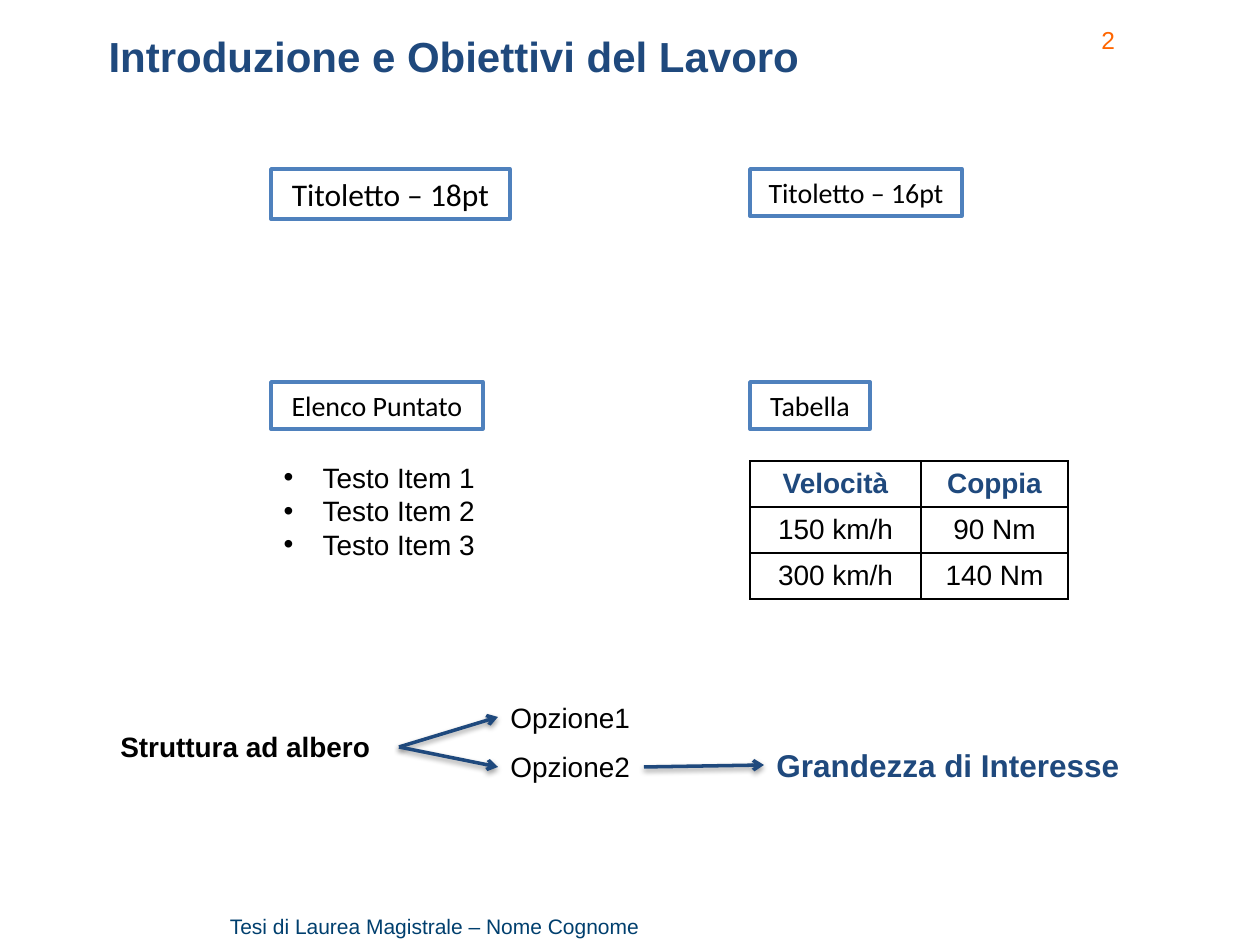
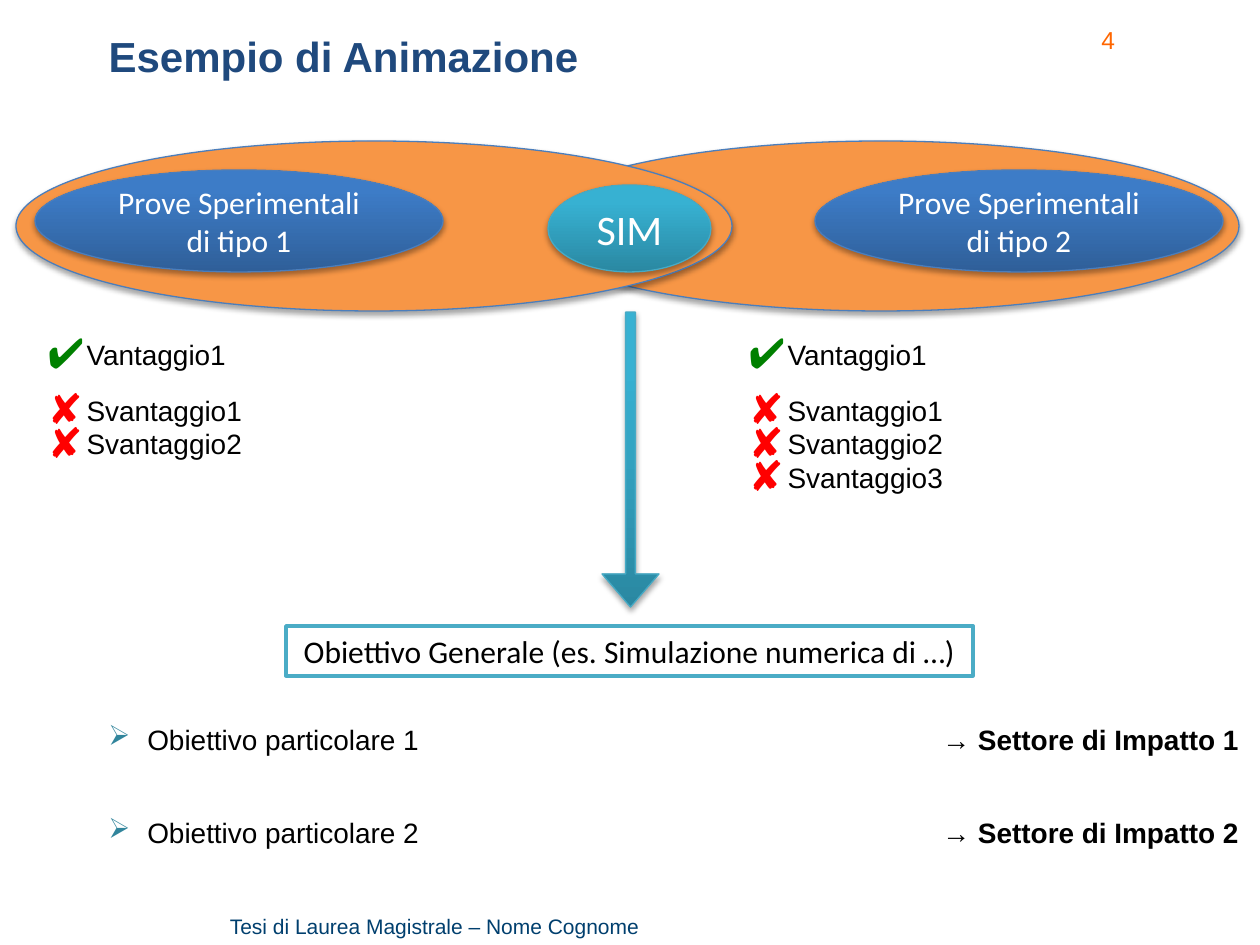
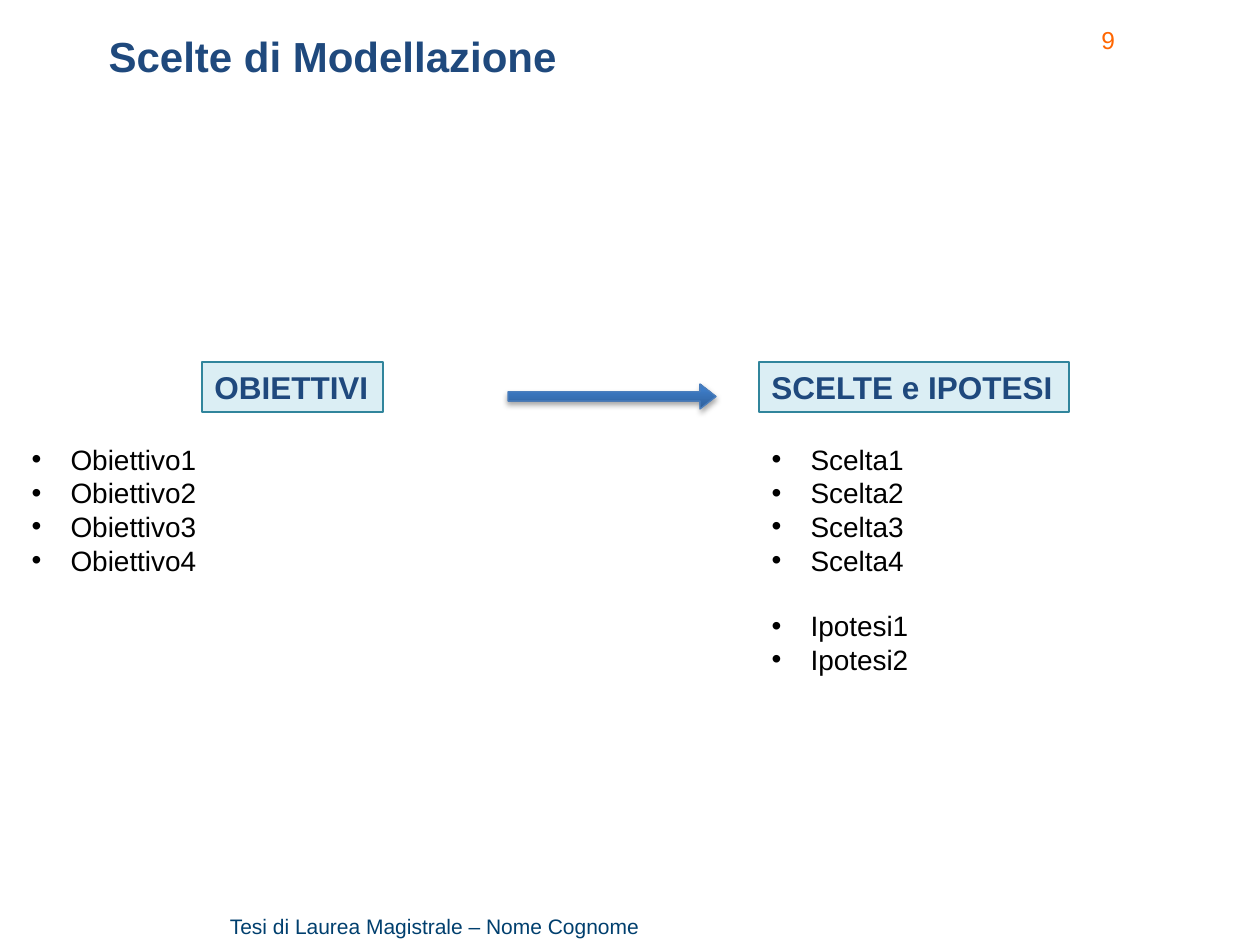
from lxml import etree
from pptx import Presentation
from pptx.dml.color import RGBColor
from pptx.enum.shapes import MSO_CONNECTOR, MSO_SHAPE
from pptx.enum.text import MSO_ANCHOR, MSO_AUTO_SIZE, PP_ALIGN
from pptx.oxml.ns import qn
from pptx.util import Emu, Pt

LEFT, CENTER, RIGHT = PP_ALIGN.LEFT, PP_ALIGN.CENTER, PP_ALIGN.RIGHT
TOP, MIDDLE = MSO_ANCHOR.TOP, MSO_ANCHOR.MIDDLE
NO_FIT = MSO_AUTO_SIZE.NONE
STRAIGHT = MSO_CONNECTOR.STRAIGHT
RECT, ELLIPSE = MSO_SHAPE.RECTANGLE, MSO_SHAPE.OVAL
DOWN_ARROW, RIGHT_ARROW = MSO_SHAPE.DOWN_ARROW, MSO_SHAPE.RIGHT_ARROW

BLACK = RGBColor(0x00, 0x00, 0x00)
WHITE = RGBColor(0xFF, 0xFF, 0xFF)
NAVY = RGBColor(0x1F, 0x49, 0x7D)
FOOTER_BLUE = RGBColor(0x00, 0x3F, 0x6E)
NUMBER_ORANGE = RGBColor(0xFF, 0x66, 0x00)
BOX_BLUE = RGBColor(0x4F, 0x81, 0xBD)
EDGE_BLUE = RGBColor(0x4B, 0x7E, 0xBC)
EDGE_TEAL = RGBColor(0x46, 0xAA, 0xC5)
BOX_TEAL = RGBColor(0x4B, 0xAC, 0xC6)
DARK_TEAL = RGBColor(0x31, 0x85, 0x9C)
PALE_TEAL = RGBColor(0xDB, 0xEE, 0xF4)
ORANGE = RGBColor(0xF7, 0x96, 0x46)
GREEN = RGBColor(0x00, 0x80, 0x00)
RED = RGBColor(0xFF, 0x00, 0x00)
BLUE_SHADE = (RGBColor(0x2F, 0x5F, 0x99), RGBColor(0x3D, 0x7C, 0xC7))
TEAL_SHADE = (RGBColor(0x2A, 0x88, 0xA2), RGBColor(0x37, 0xB1, 0xD2))

# Bullets: character, colour, size in percent
DOT = ("•", BLACK, 100)
CHECK = ("✔", GREEN, 150)
CROSS = ("✘", RED, 150)
POINTER = ("➢", DARK_TEAL, 100)

ONE_LIST, TWO_LISTS, FOUR_LISTS = 1, 3, 4  # template layouts
FOOTER = "Tesi di Laurea Magistrale – Nome Cognome"


def px(length):
    return Emu(round(length * 914400 / 126))


def add_xml(parent, tag, **attributes):
    return etree.SubElement(parent, qn(tag), attributes)


def add_bullet(paragraph, bullet):
    char, color, percent = bullet
    props = paragraph._p.get_or_add_pPr()
    props.set("marL", str(px(39)))
    props.set("indent", str(-px(39)))
    add_xml(add_xml(props, "a:buClr"), "a:srgbClr", val=str(color))
    add_xml(props, "a:buSzPct", val=str(percent * 1000))
    add_xml(props, "a:buChar", char=char)


def write(frame, text, size=16, color=BLACK, bold=False, font="Arial", align=LEFT,
          anchor=TOP, wrap=True, bullet=None, gap_before=None):
    """Fill a frame, one paragraph a line; gap_before names a line set off by one line."""
    frame.auto_size = NO_FIT
    frame.word_wrap = wrap
    frame.vertical_anchor = anchor
    for number, line in enumerate(text.split("\n")):
        paragraph = frame.add_paragraph() if number else frame.paragraphs[0]
        paragraph.alignment = align
        paragraph.space_before = Pt(size * 1.15 if line == gap_before else 0)
        if bullet:
            add_bullet(paragraph, bullet)
        run = paragraph.add_run()
        run.text = line
        run.font.name, run.font.size, run.font.bold = font, Pt(size), bold
        run.font.color.rgb = color


class Deck:
    def __init__(self):
        self.prs = Presentation()
        self.prs.slide_width, self.prs.slide_height = px(1260), px(945)
        self.slide = None
        self.bodies = iter(())

    def new_slide(self, title, number, layout):
        self.slide = self.prs.slides.add_slide(self.prs.slide_layouts[layout])
        heading = self.slide.shapes.title
        self.bodies = iter([holder for holder in self.slide.placeholders
                            if holder.placeholder_format.idx > 0])
        self.place(heading, 96, 24, 973, 71)
        write(heading.text_frame, title, size=24, color=NAVY, bold=True)
        self.text(str(number), 1089, 19, 69, 42, size=14, color=NUMBER_ORANGE)
        self.text(FOOTER, 32, 907, 620, 38, size=12, color=FOOTER_BLUE, align=RIGHT)

    def place(self, item, x, y, w, h):
        item.left, item.top, item.width, item.height = map(px, (x, y, w, h))

    def text(self, text, x, y, w, h, **fmt):
        label = self.slide.shapes.add_textbox(*map(px, (x, y, w, h)))
        write(label.text_frame, text, **fmt)

    def bullets(self, text, x, y, w, h, bullet=DOT, **fmt):
        body = next(self.bodies)
        self.place(body, x, y, w, h)
        write(body.text_frame, text, bullet=bullet, **fmt)

    def shadow(self, effects, alpha, distance):
        cast = add_xml(effects, "a:outerShdw", blurRad="40000", dist=str(distance),
                       dir="5400000", rotWithShape="0")
        add_xml(add_xml(cast, "a:srgbClr", val="000000"), "a:alpha", val=str(alpha * 1000))

    def shape(self, kind, x, y, w, h, fill, edge, edge_width=0.75, adjust=(),
              shaded=False, text="", **fmt):
        shape = self.slide.shapes.add_shape(kind, *map(px, (x, y, w, h)))
        for index, value in enumerate(adjust):
            shape.adjustments[index] = value
        if isinstance(fill, RGBColor):
            shape.fill.solid()
            shape.fill.fore_color.rgb = fill
        else:
            shape.fill.gradient()
            shape.fill.gradient_angle = 90
            for stop, color, position in zip(shape.fill.gradient_stops, fill, (0, 0.8)):
                stop.color.rgb, stop.position = color, position
        shape.line.color.rgb, shape.line.width = edge, Pt(edge_width)
        shape.shadow.inherit = False
        if shaded:
            self.shadow(shape.element.spPr.find(qn("a:effectLst")), 35, 23000)
        if text:
            write(shape.text_frame, text, anchor=MIDDLE, **fmt)

    def box(self, text, x, y, w, h, edge=BOX_BLUE, **fmt):
        self.shape(RECT, x, y, w, h, WHITE, edge, 2, text=text, font="Calibri",
                   align=CENTER, **fmt)

    def banner(self, text, x, w):
        self.shape(RECT, x, 362, w, 50, PALE_TEAL, DARK_TEAL, text=text, size=18,
                   color=NAVY, bold=True, wrap=False)

    def bubble(self, text, x, y, w, h, fill, edge, size):
        self.shape(ELLIPSE, x, y, w, h, fill, edge, shaded=True, text=text, size=size,
                   color=WHITE, font="Calibri", align=CENTER)

    def arrow(self, start, end):
        line = self.slide.shapes.add_connector(STRAIGHT, *map(px, start + end))
        line.line.color.rgb, line.line.width = NAVY, Pt(2)
        props = line.element.spPr
        add_xml(props.find(qn("a:ln")), "a:tailEnd", type="arrow")
        self.shadow(add_xml(props, "a:effectLst"), 38, 20000)

    def table(self, rows, x, y, widths, row_height):
        area = (x, y, sum(widths), row_height * len(rows))
        grid = self.slide.shapes.add_table(len(rows), len(widths), *map(px, area)).table
        grid.first_row = grid.horz_banding = False
        for column, width in zip(grid.columns, widths):
            column.width = px(width)
        for r, row in enumerate(rows):
            for c, value in enumerate(row):
                cell = grid.cell(r, c)
                write(cell.text_frame, value, align=CENTER, bold=r == 0,
                      color=BLACK if r else NAVY)
                cell.vertical_anchor = MIDDLE
                self.borders(cell)
                cell.fill.background()

    def borders(self, cell):
        props = cell._tc.get_or_add_tcPr()
        for side in ("a:lnL", "a:lnR", "a:lnT", "a:lnB"):
            fill = add_xml(add_xml(props, side, w=str(Pt(1))), "a:solidFill")
            add_xml(fill, "a:srgbClr", val=str(BLACK))


def introduction(deck):
    deck.new_slide("Introduzione e Obiettivi del Lavoro", 2, ONE_LIST)
    # Headings, list and table
    deck.box("Titoletto – 18pt", 271, 169, 239, 50, size=18)
    deck.box("Titoletto – 16pt", 750, 169, 212, 47)
    deck.box("Elenco Puntato", 271, 382, 212, 47)
    deck.box("Tabella", 750, 382, 120, 47)
    deck.bullets("Testo Item 1\nTesto Item 2\nTesto Item 3", 271, 454, 251, 115)
    deck.table([("Velocità", "Coppia"), ("150 km/h", "90 Nm"), ("300 km/h", "140 Nm")],
               750, 461, (171, 147), 46)
    # Tree
    root = (399, 747)
    deck.text("Struttura ad albero", 108, 723, 290, 47, bold=True)
    for option, top, tip in (("Opzione1", 694, 717), ("Opzione2", 743, 767)):
        deck.text(option, 498, top, 146, 47, wrap=False)
        deck.arrow(root, (498, tip))
    deck.arrow((644, 767), (764, 765))
    deck.text("Grandezza di Interesse", 764, 740, 372, 50, size=18, color=NAVY,
              bold=True, wrap=False)


def animation(deck):
    deck.new_slide("Esempio di Animazione", 4, FOUR_LISTS)
    # Overlapping test families
    for left in (523, 16):
        deck.shape(ELLIPSE, left, 141, 716, 170, ORANGE, EDGE_BLUE, shaded=True)
    for kind, left in ((1, 35), (2, 815)):
        deck.bubble(f"Prove Sperimentali di tipo {kind}", left, 170, 408, 102,
                    BLUE_SHADE, EDGE_BLUE, 18)
    deck.bubble("SIM", 548, 185, 163, 87, TEAL_SHADE, EDGE_TEAL, 24)
    deck.shape(DOWN_ARROW, 602, 312, 57, 295, TEAL_SHADE, EDGE_TEAL,
               adjust=(0.17, 0.58), shaded=True)
    # Pros and cons
    for left, width, drawbacks in ((35, 488, 2), (736, 507, 3)):
        cons = "\n".join(f"Svantaggio{n + 1}" for n in range(drawbacks))
        deck.bullets("Vantaggio1", left, 331, width, 47, CHECK)
        deck.bullets(cons, left, 387, width, 13 + 34 * drawbacks, CROSS)
    # Goals and their impact
    deck.box("Obiettivo Generale (es. Simulazione numerica di …)", 286, 626, 687, 50,
             edge=BOX_TEAL, size=18, wrap=False)
    for goal, top in ((1, 716), (2, 809)):
        deck.text(f"Obiettivo particolare {goal}", 96, top, 834, 47, bullet=POINTER)
        deck.text(f"→ Settore di Impatto {goal}", 930, top, 325, 47, bold=True, wrap=False)


def modelling(deck):
    deck.new_slide("Scelte di Modellazione", 9, TWO_LISTS)
    deck.banner("OBIETTIVI", 202, 181)
    deck.shape(RIGHT_ARROW, 508, 384, 208, 25, BLUE_SHADE, EDGE_BLUE,
               adjust=(0.37, 0.64), shaded=True)
    deck.banner("SCELTE e IPOTESI", 759, 310)
    deck.bullets("Obiettivo1\nObiettivo2\nObiettivo3\nObiettivo4", 19, 436, 544, 149)
    deck.bullets("Scelta1\nScelta2\nScelta3\nScelta4\nIpotesi1\nIpotesi2",
                 759, 436, 488, 251, gap_before="Ipotesi1")


def main():
    deck = Deck()
    for build in (introduction, animation, modelling):
        build(deck)
    deck.prs.save("out.pptx")


if __name__ == "__main__":
    main()
